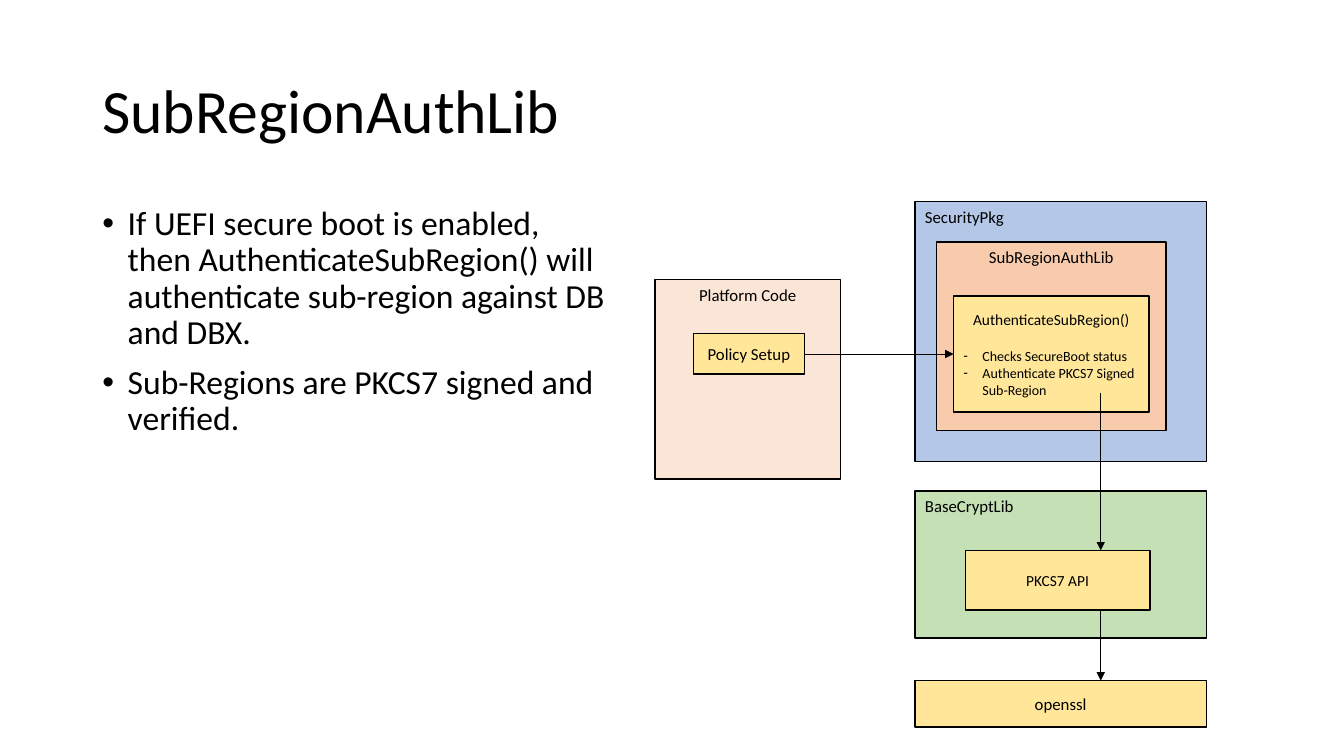
"""Build the SubRegionAuthLib slide: two bullets beside a package call diagram."""
from dataclasses import dataclass

from lxml.etree import SubElement
from pptx import Presentation
from pptx.dml.color import RGBColor
from pptx.enum.shapes import MSO_CONNECTOR, MSO_SHAPE
from pptx.enum.text import MSO_ANCHOR as Anchor, PP_ALIGN as Align
from pptx.oxml.ns import qn
from pptx.util import Cm, Pt


@dataclass(frozen=True)
class Theme:
    font: str = "Calibri"
    ink: str = "000000"
    blue: str = "B4C7E7"
    orange: str = "F8CBAD"
    peach: str = "FBE5D6"
    green: str = "C5E0B4"
    yellow: str = "FFE699"
    title: int = 44
    body: int = 24
    label: int = 12
    call: int = 11
    detail: int = 10


theme = Theme()
ink = RGBColor.from_string(theme.ink)


def style(paragraph, size, align=Align.LEFT):
    paragraph.alignment = align
    for run in paragraph.runs:
        run.font.name = theme.font
        run.font.size = Pt(size)
        run.font.color.rgb = ink


def add_bullet(paragraph, character, indent):
    properties = paragraph._p.get_or_add_pPr()
    properties.set("marL", str(indent))
    properties.set("indent", str(-indent))
    SubElement(properties, qn("a:buFont")).set("typeface", "Arial")
    SubElement(properties, qn("a:buChar")).set("char", character)


presentation = Presentation()
presentation.slide_width = Cm(33.87)
presentation.slide_height = Cm(19.05)
slide = presentation.slides.add_slide(presentation.slide_layouts[6])

title = slide.shapes.add_textbox(Cm(2.33), Cm(1.01), Cm(29.21), Cm(3.68))
title.text_frame.word_wrap = True
title.text_frame.vertical_anchor = Anchor.MIDDLE
title.text_frame.text = "SubRegionAuthLib"
title.text_frame.paragraphs[0].line_spacing = 0.9
style(title.text_frame.paragraphs[0], theme.title)

body = slide.shapes.add_textbox(Cm(2.33), Cm(5.08), Cm(13.28), Cm(12.09))
body.text_frame.word_wrap = True
body.text_frame.text = (
    "If UEFI secure boot is enabled, then AuthenticateSubRegion() will "
    "authenticate sub-region against DB and DBX.\n"
    "Sub-Regions are PKCS7 signed and verified."
)
for paragraph in body.text_frame.paragraphs:
    paragraph.line_spacing = 0.9
    paragraph.space_before = Pt(10)
    style(paragraph, theme.body)
    add_bullet(paragraph, "•", Cm(0.64))

TOP, MIDDLE = Anchor.TOP, Anchor.MIDDLE
LEFT, CENTER = Align.LEFT, Align.CENTER
column_left, column_width = 23.06, 7.34
boxes = [
    ("SecurityPkg", column_left, 5.08, column_width, 6.55, theme.blue, theme.label, TOP, LEFT),
    ("SubRegionAuthLib", 23.6, 6.1, 5.79, 4.75, theme.orange, theme.label, TOP, CENTER),
    ("BaseCryptLib", column_left, 12.37, column_width, 3.71, theme.green, theme.label, TOP, LEFT),
    ("Platform Code", 16.51, 7.04, 4.67, 5.03, theme.peach, theme.label, TOP, CENTER),
    ("Policy Setup", 17.48, 8.41, 2.79, 1.02, theme.yellow, theme.label, MIDDLE, CENTER),
    ("openssl", column_left, 17.15, column_width, 1.17, theme.yellow, theme.label, MIDDLE, CENTER),
    ("AuthenticateSubRegion()", 24.03, 7.46, 4.93, 2.92, theme.yellow, theme.call, MIDDLE, CENTER),
    ("PKCS7 API", 24.33, 13.87, 4.65, 1.5, theme.yellow, theme.call, MIDDLE, CENTER),
]
shapes = {}
for name, left, top, width, height, fill, size, anchor, align in boxes:
    shape = slide.shapes.add_shape(MSO_SHAPE.RECTANGLE, Cm(left), Cm(top), Cm(width), Cm(height))
    shape.shadow.inherit = False
    shape.fill.solid()
    shape.fill.fore_color.rgb = RGBColor.from_string(fill)
    shape.line.color.rgb = ink
    shape.line.width = Pt(1)
    shape.text_frame.word_wrap = True
    shape.text_frame.vertical_anchor = anchor
    shape.text_frame.text = name
    style(shape.text_frame.paragraphs[0], size, align)
    shapes[name] = shape

authenticate = shapes["AuthenticateSubRegion()"]
authenticate.text_frame.paragraphs[0].space_after = Pt(13.4)
for step in ("Checks SecureBoot status", "Authenticate PKCS7 Signed Sub-Region"):
    paragraph = authenticate.text_frame.add_paragraph()
    paragraph.text = step
    style(paragraph, theme.detail)
    add_bullet(paragraph, "-", Cm(0.48))

call_x = 27.74
arrows = [
    (call_x, 9.91, call_x, 13.87),
    (call_x, 15.37, call_x, 17.15),
    (20.27, 8.92, 24.03, 8.92),
]
for ends in arrows:
    arrow = slide.shapes.add_connector(MSO_CONNECTOR.STRAIGHT, *map(Cm, ends))
    arrow.line.color.rgb = ink
    arrow.line.width = Pt(0.5)
    SubElement(arrow.line._get_or_add_ln(), qn("a:tailEnd")).set("type", "triangle")
    SubElement(arrow._element.spPr, qn("a:effectLst"))

arrow.begin_connect(shapes["Policy Setup"], 3)
arrow.end_connect(authenticate, 1)

presentation.save("out.pptx")
